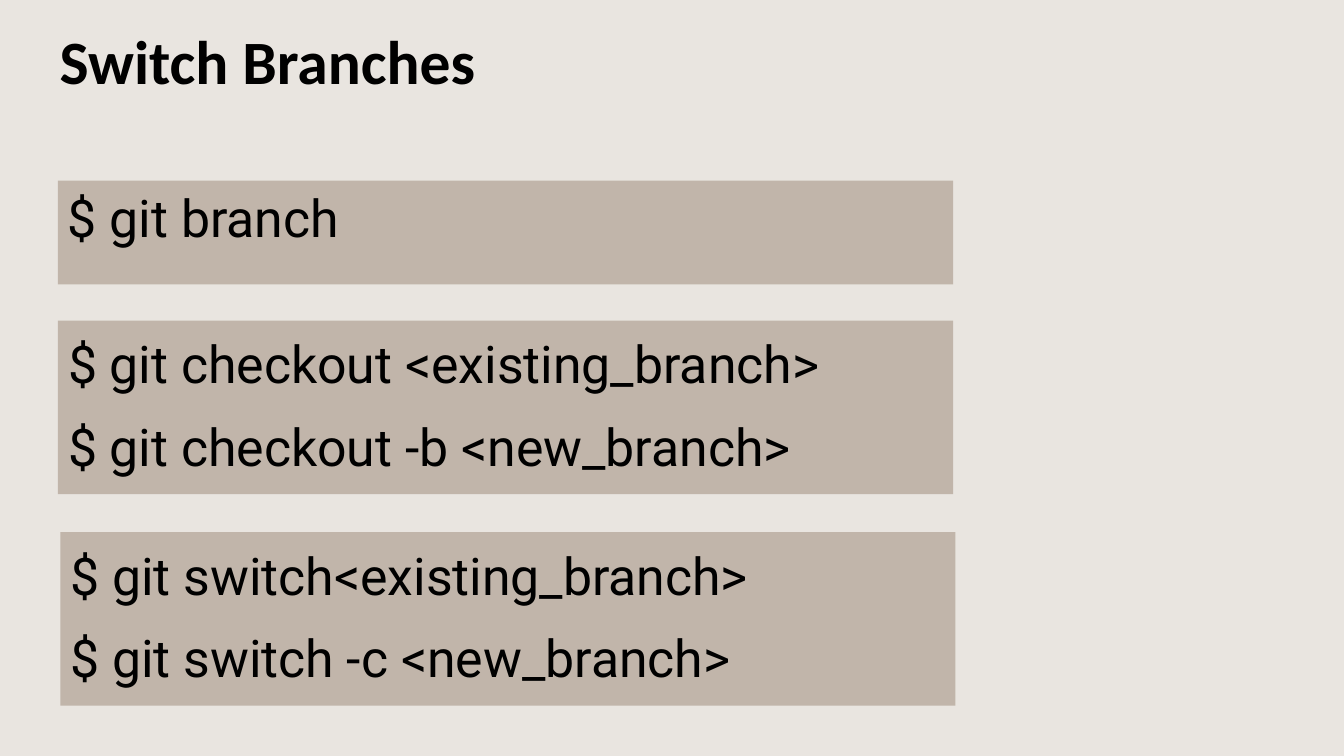
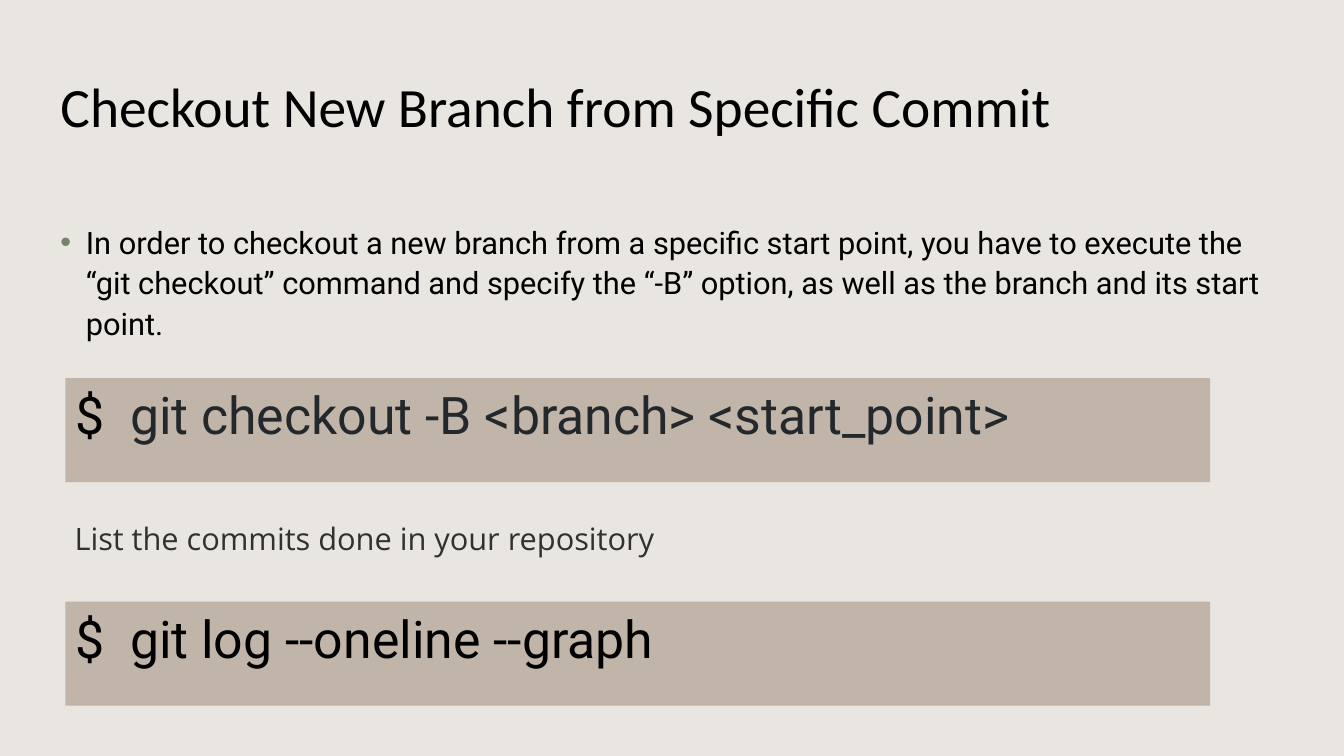
from lxml.etree import SubElement
from pptx import Presentation
from pptx.dml.color import RGBColor
from pptx.enum.text import MSO_ANCHOR, MSO_AUTO_SIZE, PP_ALIGN
from pptx.oxml.ns import qn
from pptx.util import Cm, Pt

BACKGROUND = RGBColor(0xE9, 0xE5, 0xE0)
PANEL = RGBColor(0xC1, 0xB5, 0xAA)
BLACK = RGBColor(0x00, 0x00, 0x00)
CODE_GREY = RGBColor(0x23, 0x28, 0x2D)
CAPTION_GREY = RGBColor(0x31, 0x31, 0x31)
BULLET_GREEN = RGBColor(0x75, 0x84, 0x68)

TITLE_FONT = "Calibri"
BODY_FONT = "Roboto"
CAPTION_FONT = "Open Sans"
COMMAND_SIZE = 37
TEXT_SIZE = 22
PANEL_HEIGHT = 2.62
TALL_PANEL_HEIGHT = 4.37


class Deck:
    """Holds the shared style and the slide being filled; boxes are (left, top, width, height) in cm."""

    def __init__(self):
        self.presentation = Presentation()
        self.presentation.slide_width = Cm(33.87)
        self.presentation.slide_height = Cm(19.05)
        fill = self.presentation.slide_master.background.fill
        fill.solid()
        fill.fore_color.rgb = BACKGROUND
        self.slide = None

    def add_slide(self):
        layout = self.presentation.slide_layouts[1]
        self.slide = self.presentation.slides.add_slide(layout)

    def title(self, text, box, size, bold=False):
        shape = self._place(self.slide.shapes.title, box)
        shape.text_frame.vertical_anchor = MSO_ANCHOR.MIDDLE
        paragraph = shape.text_frame.paragraphs[0]
        paragraph.alignment = PP_ALIGN.LEFT
        self._run(paragraph, text, TITLE_FONT, size, bold=bold)

    def bullet(self, text, box):
        shape = self._place(self.slide.placeholders[1], box)
        paragraph = shape.text_frame.paragraphs[0]
        self._space(paragraph)
        self._indent(paragraph, 0.64, "•")
        self._run(paragraph, text, BODY_FONT, TEXT_SIZE)

    def command(self, runs, box):
        """Panel with one command, given as (text, colour) runs."""
        shape = self._panel(self._text_box(box))
        for text, color in runs:
            self._run(shape.text_frame.paragraphs[0], text, BODY_FONT, COMMAND_SIZE, color)

    def command_list(self, commands, box, in_body=False):
        """Panel with one spaced paragraph per command."""
        if in_body:
            shape = self._place(self.slide.placeholders[1], box)
        else:
            shape = self._text_box(box)
        frame = self._panel(shape).text_frame
        for index, command in enumerate(commands):
            paragraph = frame.add_paragraph() if index else frame.paragraphs[0]
            self._space(paragraph)
            self._indent(paragraph, 0)
            self._run(paragraph, command, BODY_FONT, COMMAND_SIZE)

    def caption(self, text, box):
        paragraph = self._text_box(box).text_frame.paragraphs[0]
        self._run(paragraph, text, CAPTION_FONT, TEXT_SIZE, CAPTION_GREY)

    def save(self):
        self.presentation.save("out.pptx")

    def _text_box(self, box):
        return self._place(self.slide.shapes.add_textbox(0, 0, 0, 0), box)

    @staticmethod
    def _place(shape, box):
        shape.left, shape.top, shape.width, shape.height = map(Cm, box)
        shape.text_frame.word_wrap = True
        shape.text_frame.auto_size = MSO_AUTO_SIZE.NONE
        return shape

    @staticmethod
    def _panel(shape):
        shape.fill.solid()
        shape.fill.fore_color.rgb = PANEL
        return shape

    @staticmethod
    def _space(paragraph):
        paragraph.line_spacing = 1.1
        paragraph.space_before = Pt(10)

    @staticmethod
    def _indent(paragraph, hanging, bullet=None):
        """Set a hanging indent in cm, with a green bullet or none."""
        properties = paragraph._p.get_or_add_pPr()
        properties.set("marL", str(Cm(hanging)))
        properties.set("indent", str(-Cm(hanging)))
        if bullet:
            color = SubElement(properties, qn("a:buClr"))
            SubElement(color, qn("a:srgbClr"), val=str(BULLET_GREEN))
            SubElement(properties, qn("a:buChar"), char=bullet)
        else:
            SubElement(properties, qn("a:buNone"))

    @staticmethod
    def _run(paragraph, text, font_name, size, color=BLACK, bold=False):
        run = paragraph.add_run()
        run.text = text
        run.font.name = font_name
        run.font.size = Pt(size)
        run.font.bold = bold
        run.font.color.rgb = color


def switch_branches(deck):
    left, width = 1.46, 22.56
    deck.add_slide()
    deck.title("Switch Branches", (1.25, -0.33, 30.28, 3.68), 44, bold=True)
    deck.command([("$ git branch", BLACK)], (left, 4.55, width, PANEL_HEIGHT))
    deck.command_list(
        ["$ git checkout <existing_branch>", "$ git checkout -b <new_branch>"],
        (left, 8.08, width, TALL_PANEL_HEIGHT),
        in_body=True,
    )
    deck.command_list(
        ["$ git switch<existing_branch>", "$ git switch -c <new_branch>"],
        (1.52, 13.41, width, TALL_PANEL_HEIGHT),
    )


def checkout_from_commit(deck):
    left, width = 1.65, 28.85
    deck.add_slide()
    deck.title("Checkout New Branch from Specific Commit", (1.27, 1.02, 30.28, 3.25), 39.6)
    deck.bullet(
        "In order to checkout a new branch from a specific start point, you have to "
        "execute the “git checkout” command and specify the “-B” option, as well as "
        "the branch and its start point.",
        (1.27, 5.41, 31.32, 1.5),
    )
    deck.command(
        [("$ ", BLACK), (" git checkout -B <branch> <start_point>", CODE_GREY)],
        (left, 9.53, width, PANEL_HEIGHT),
    )
    deck.caption("List the commits done in your repository", (1.63, 12.98, 18.75, 1.19))
    deck.command([("$  git log --oneline --graph", BLACK)], (left, 15.16, width, PANEL_HEIGHT))


def main():
    deck = Deck()
    switch_branches(deck)
    checkout_from_commit(deck)
    deck.save()


if __name__ == "__main__":
    main()
